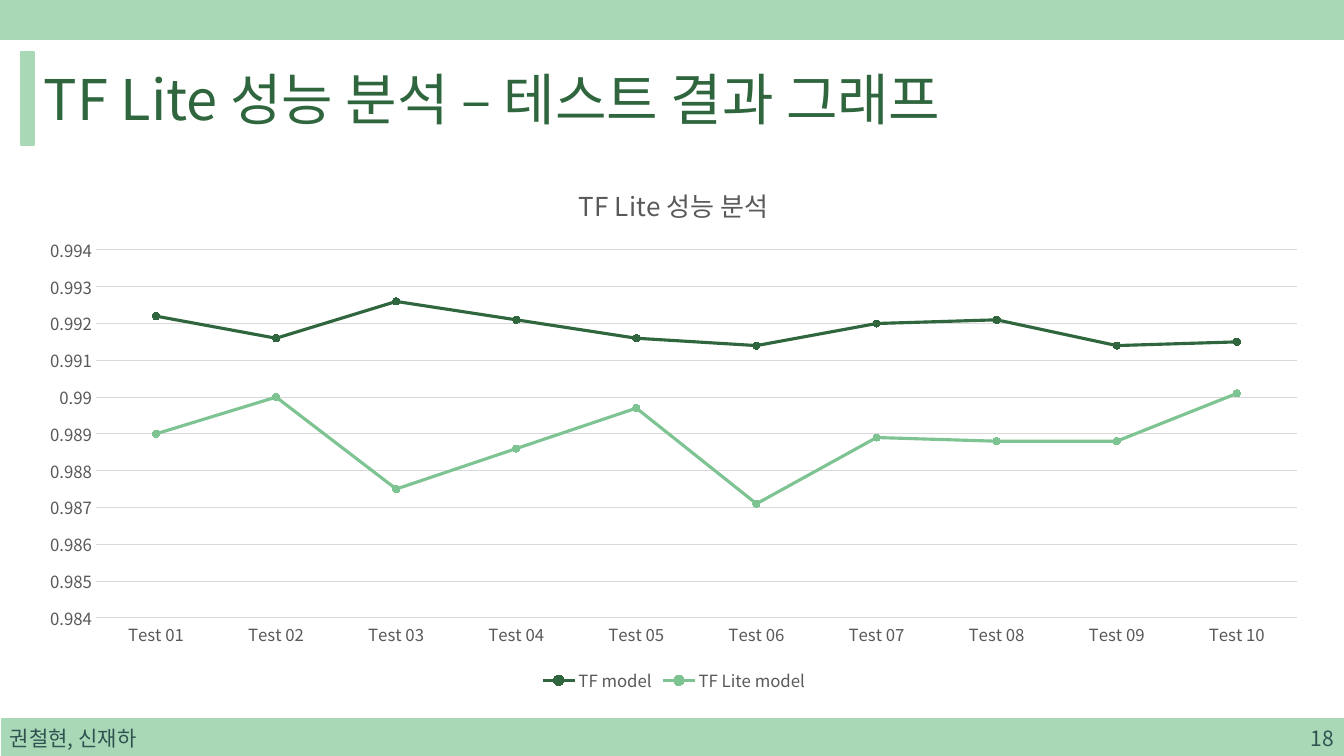
from lxml import etree
from pptx import Presentation
from pptx.chart.data import CategoryChartData as Data
from pptx.dml.color import RGBColor as RGB
from pptx.enum.chart import XL_CHART_TYPE as Kind, XL_LEGEND_POSITION as Spot
from pptx.enum.chart import XL_MARKER_STYLE as Mark, XL_TICK_MARK as Tick
from pptx.enum.shapes import MSO_SHAPE as Shape
from pptx.enum.text import MSO_ANCHOR as Anchor, PP_ALIGN as Align
from pptx.oxml.ns import qn
from pptx.util import Pt

FONT = "Noto Sans CJK KR"
HUES = {"mint": "A9D8B7", "deep": "2F663E", "leaf": "7EC492",
        "slate": "305250", "gray": "595959", "rule": "D9D9D9"}
SIZE = (1344, 756)
BARS = [(0, 0, 1344, 39), (2, 719, 1342, 37), (21, 52, 13, 93)]
TEXTS = [
    ("TF Lite 성능 분석 – 테스트 결과 그래프", (34, 52, 1290, 93), 40, "deep", Align.LEFT),
    ("권철현, 신재하", (0, 719, 302, 39), 15, "slate", Align.LEFT),
    ("18", (1042, 719, 302, 39), 15, "slate", Align.RIGHT),
]
HEAD = "TF Lite 성능 분석"
FRAME = (24, 162, 1300, 535)
PLOT = (96, 250, 1201, 368)
TESTS = [f"Test {n:02}" for n in range(1, 11)]
LINES = [
    ("TF model", "deep", (0.9922, 0.9916, 0.9926, 0.9921, 0.9916,
                          0.9914, 0.992, 0.9921, 0.9914, 0.9915)),
    ("TF Lite model", "leaf", (0.989, 0.99, 0.9875, 0.9886, 0.9897,
                               0.9871, 0.9889, 0.9888, 0.9888, 0.9901)),
]


def px(*nums):
    return [round(n * 914400 / 100.8) for n in nums]


def hue(name):
    return RGB.from_string(HUES[name])


def paint(fill, name):
    fill.solid()
    fill.fore_color.rgb = hue(name)


def style(font, size, name):
    font.name, font.size, font.bold = FONT, Pt(size), False
    font.color.rgb = hue(name)


def write(para, text, size, name):
    run = para.add_run()
    run.text = text
    style(run.font, size, name)
    east = etree.Element(qn("a:ea"), typeface=FONT)
    run.font._element.find(qn("a:latin")).addnext(east)


def add_bar(slide, box):
    bar = slide.shapes.add_shape(Shape.RECTANGLE, *px(*box))
    bar.shadow.inherit = False
    paint(bar.fill, "mint")
    bar.line.color.rgb = hue("mint")
    bar.line.width = Pt(1)


def add_text(slide, text, box, size, name, align):
    frame = slide.shapes.add_textbox(*px(*box)).text_frame
    frame.word_wrap = True
    frame.vertical_anchor = Anchor.MIDDLE
    para = frame.paragraphs[0]
    para.alignment = align
    write(para, text, size, name)


def place_plot(chart):
    area = chart._chartSpace.chart.plotArea
    for old in area.findall(qn("c:layout")):
        area.remove(old)
    layout = etree.Element(qn("c:layout"))
    area.insert(0, layout)
    manual = etree.SubElement(layout, qn("c:manualLayout"))
    left, top, wide, high = FRAME
    x, y, w, h = PLOT
    rules = [("layoutTarget", "inner"), ("xMode", "edge"), ("yMode", "edge"),
             ("x", (x - left) / wide), ("y", (y - top) / high),
             ("w", w / wide), ("h", h / high)]
    for tag, val in rules:
        etree.SubElement(manual, qn("c:" + tag), val=str(val))


def add_graph(slide):
    data = Data(number_format="General")
    data.categories = TESTS
    for name, _, vals in LINES:
        data.add_series(name, vals)
    chart = slide.shapes.add_chart(Kind.LINE_MARKERS, *px(*FRAME), data).chart
    style(chart.font, 12, "gray")
    chart.has_title = True
    write(chart.chart_title.text_frame.paragraphs[0], HEAD, 18.6, "gray")
    chart.chart_title.include_in_layout = False
    chart.has_legend = True
    chart.legend.position = Spot.BOTTOM
    chart.legend.include_in_layout = False
    style(chart.legend.font, 12, "gray")
    cat, val = chart.category_axis, chart.value_axis
    for axis in (cat, val):
        axis.major_tick_mark = axis.minor_tick_mark = Tick.NONE
        style(axis.tick_labels.font, 12, "gray")
    val.minimum_scale, val.maximum_scale, val.major_unit = 0.984, 0.994, 0.001
    val.has_major_gridlines = True
    val.format.line.fill.background()
    for line in (cat.format.line, val.major_gridlines.format.line):
        line.color.rgb = hue("rule")
        line.width = Pt(0.75)
    plot = chart.plots[0]
    plot.vary_by_categories = False
    for row, (_, name, _) in zip(plot.series, LINES):
        row.smooth = False
        row.format.line.color.rgb = hue(name)
        row.format.line.width = Pt(2.25)
        row.marker.style, row.marker.size = Mark.CIRCLE, 5
        paint(row.marker.format.fill, name)
        row.marker.format.line.color.rgb = hue(name)
    place_plot(chart)


def main():
    deck = Presentation()
    deck.slide_width, deck.slide_height = px(*SIZE)
    slide = deck.slides.add_slide(deck.slide_layouts[6])
    for box in BARS:
        add_bar(slide, box)
    add_graph(slide)
    for item in TEXTS:
        add_text(slide, *item)
    deck.save("out.pptx")


if __name__ == "__main__":
    main()
